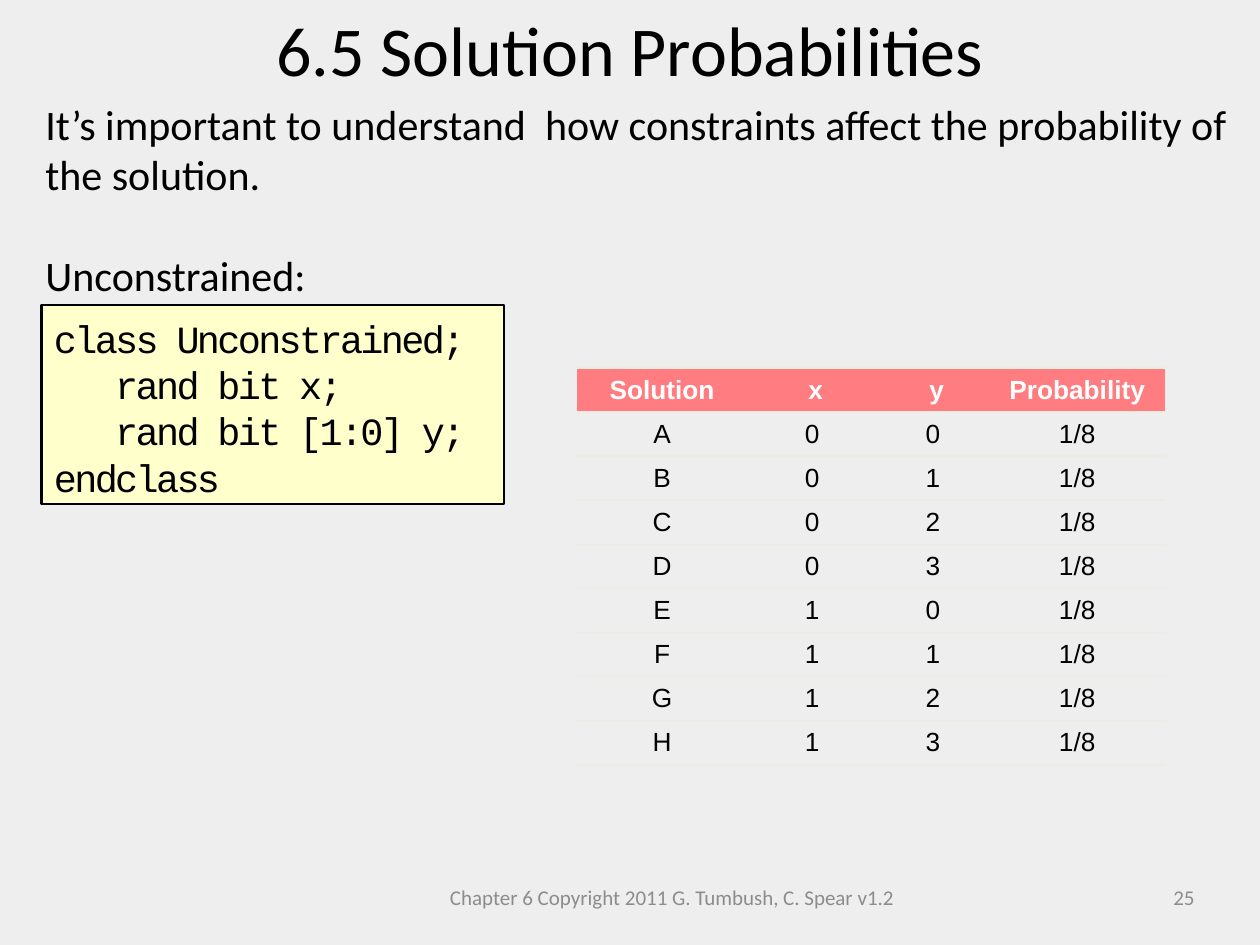
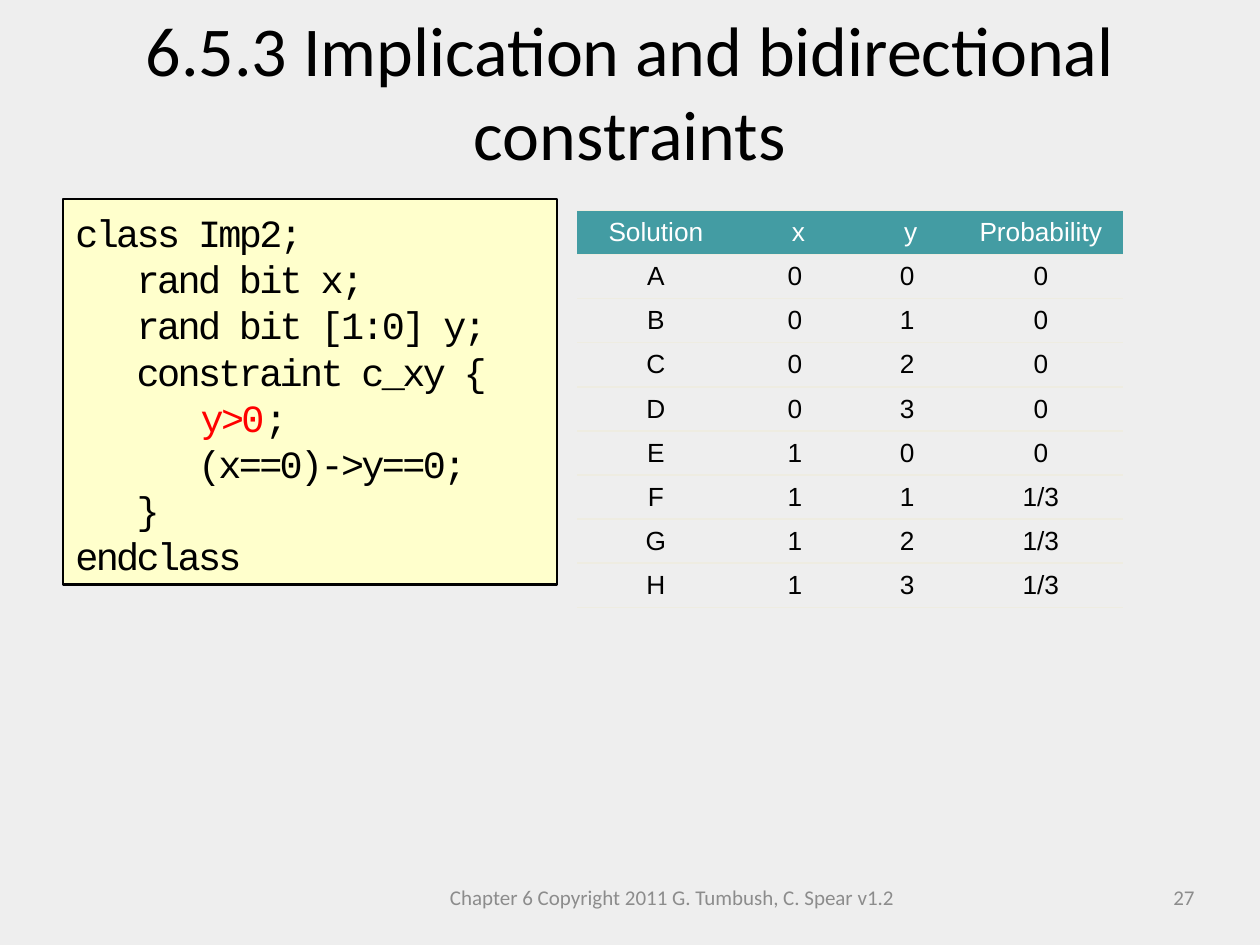
import itertools

import lxml.etree
import pptx
import pptx.dml.color
import pptx.enum.shapes
import pptx.enum.text
import pptx.oxml.ns
import pptx.util

Inches = pptx.util.Inches
Pt = pptx.util.Pt
ALIGN = pptx.enum.text.PP_ALIGN
ANCHOR = pptx.enum.text.MSO_ANCHOR

BLACK = "000000"
WHITE = "FFFFFF"
RED = "FF0000"
GREY = "8C8C8C"
PAPER = "EEEEEE"
CODE_FILL = "FFFFCC"
RULE = "EEECE1"
CORAL = "FF7C80"
TEAL = "439CA3"

FOOTER = "Chapter 6 Copyright 2011 G. Tumbush, C. Spear v1.2"
HEADINGS = ("Solution", " x", " y", "Probability")
COLUMN_SHARES = (1.35, 1.03, 0.89, 1.4)
ROW_HEIGHT = 0.35
PLAIN_TABLE_STYLE = "{2D5ABB26-0587-4C30-8999-92F81FD0307C}"


def colour(code):
    return pptx.dml.color.RGBColor.from_string(code)


def style(para, name, size, code, align=ALIGN.LEFT, bold=False):
    para.alignment = align
    para.font.name = name
    para.font.size = Pt(size)
    para.font.bold = bold
    para.font.color.rgb = colour(code)


def place(shape, box):
    shape.left, shape.top, shape.width, shape.height = map(Inches, box)


def prepare_frame(shape, anchor=ANCHOR.TOP):
    frame = shape.text_frame
    frame.word_wrap = True
    frame.auto_size = pptx.enum.text.MSO_AUTO_SIZE.NONE
    frame.vertical_anchor = anchor
    return frame


def add_title(page, text, height):
    title = page.shapes.title
    place(title, (0, 0, 10, height))
    para = prepare_frame(title).paragraphs[0]
    para.text = text
    style(para, "Calibri", 40, BLACK, ALIGN.CENTER)


def add_footer(page, number):
    for text, left, width, align in (
        (FOOTER, 3.42, 3.83, ALIGN.CENTER),
        (str(number), 7.25, 2.33, ALIGN.RIGHT),
    ):
        label = page.shapes.add_textbox(*map(Inches, (left, 6.92, width, 0.4)))
        para = prepare_frame(label, ANCHOR.MIDDLE).paragraphs[0]
        para.text = text
        style(para, "Calibri", 12, GREY, align)


def fill_body(page, box, lines, gap):
    body = page.placeholders[1]
    place(body, box)
    frame = prepare_frame(body)
    frame.text = "\n".join(lines)
    for index, para in enumerate(frame.paragraphs):
        properties = para._p.get_or_add_pPr()
        properties.set("marL", "0")
        properties.set("indent", "0")
        lxml.etree.SubElement(properties, pptx.oxml.ns.qn("a:buNone"))
        para.space_before = Pt(gap if index else 0)
        style(para, "Calibri", 24, BLACK)


def add_code(page, box, lines):
    panel = page.shapes.add_shape(
        pptx.enum.shapes.MSO_SHAPE.RECTANGLE, *map(Inches, box))
    panel.shadow.inherit = False
    panel.fill.solid()
    panel.fill.fore_color.rgb = colour(CODE_FILL)
    panel.line.color.rgb = colour(BLACK)
    panel.line.width = Pt(1.25)
    frame = prepare_frame(panel)
    frame.margin_top = Inches(0.08)
    frame.margin_bottom = 0
    for index, line in enumerate(lines):
        para = frame.paragraphs[0] if index == 0 else frame.add_paragraph()
        para.line_spacing = Pt(26.4)
        style(para, "Courier New", 22, BLACK)
        for text, code in [(line, BLACK)] if isinstance(line, str) else line:
            span = para.add_run()
            span.text = text
            span._r.get_or_add_rPr().set("spc", "-150")
            if code != BLACK:
                span.font.color.rgb = colour(code)


def rule_cell(cell):
    properties = cell._tc.get_or_add_tcPr()
    for index, side in enumerate(("a:lnT", "a:lnB")):
        line = lxml.etree.Element(pptx.oxml.ns.qn(side), w=str(Pt(1)))
        fill = lxml.etree.SubElement(line, pptx.oxml.ns.qn("a:solidFill"))
        lxml.etree.SubElement(fill, pptx.oxml.ns.qn("a:srgbClr"), val=RULE)
        properties.insert(index, line)


def add_solutions(page, left, top, width, header_fill, header_bold, chances):
    pairs = itertools.product("01", "0123")
    rows = [HEADINGS] + [
        (letter, x, y, chance)
        for letter, (x, y), chance in zip("ABCDEFGH", pairs, chances)
    ]
    box = (left, top, width, ROW_HEIGHT * len(rows))
    frame = page.shapes.add_table(
        len(rows), len(HEADINGS), *map(Inches, box))
    table = frame.table
    table.horz_banding = False
    table._tbl.tblPr.find(pptx.oxml.ns.qn("a:tableStyleId")).text = PLAIN_TABLE_STYLE
    for column, share in zip(table.columns, COLUMN_SHARES):
        column.width = Inches(width * share / sum(COLUMN_SHARES))
    for row_index, values in enumerate(rows):
        table.rows[row_index].height = Inches(ROW_HEIGHT)
        header = row_index == 0
        for column_index, value in enumerate(values):
            cell = table.cell(row_index, column_index)
            cell.vertical_anchor = ANCHOR.MIDDLE
            if header:
                cell.fill.solid()
                cell.fill.fore_color.rgb = colour(header_fill)
            else:
                cell.fill.background()
            rule_cell(cell)
            para = cell.text_frame.paragraphs[0]
            para.text = value
            style(para, "Arial", 15, WHITE if header else BLACK,
                  ALIGN.CENTER, header and header_bold)


def build_unconstrained(deck):
    page = deck.slides.add_slide(deck.slide_layouts[1])
    add_title(page, "6.5 Solution Probabilities", 0.77)
    fill_body(page, (0.26, 0.73, 9.58, 1.72), (
        "It’s important to understand  how constraints affect the "
        "probability of the solution.",
        "Unconstrained:",
    ), gap=29)
    add_code(page, (0.33, 2.42, 3.67, 1.58), (
        "class Unconstrained;",
        "   rand bit x;",
        "   rand bit [1:0] y;",
        "endclass",
    ))
    add_solutions(page, 4.58, 2.92, 4.67, CORAL, True, ["1/8"] * 8)
    add_footer(page, 25)


def build_implication(deck):
    page = deck.slides.add_slide(deck.slide_layouts[5])
    add_title(page, "6.5.3 Implication and bidirectional constraints", 1.45)
    add_code(page, (0.5, 1.58, 3.92, 3.06), (
        "class Imp2;",
        "   rand bit x;",
        "   rand bit [1:0] y;",
        "   constraint c_xy {",
        [("      ", BLACK), ("y>0", RED), (";", BLACK)],
        "      (x==0)->y==0;",
        "   }",
        "endclass",
    ))
    add_solutions(page, 4.58, 1.67, 4.33, TEAL, False,
                  ["0"] * 5 + ["1/3"] * 3)
    add_footer(page, 27)


def main():
    deck = pptx.Presentation()
    deck.slide_width = Inches(10)
    deck.slide_height = Inches(7.5)
    background = deck.slide_master.background.fill
    background.solid()
    background.fore_color.rgb = colour(PAPER)
    build_unconstrained(deck)
    build_implication(deck)
    deck.save("out.pptx")


if __name__ == "__main__":
    main()
